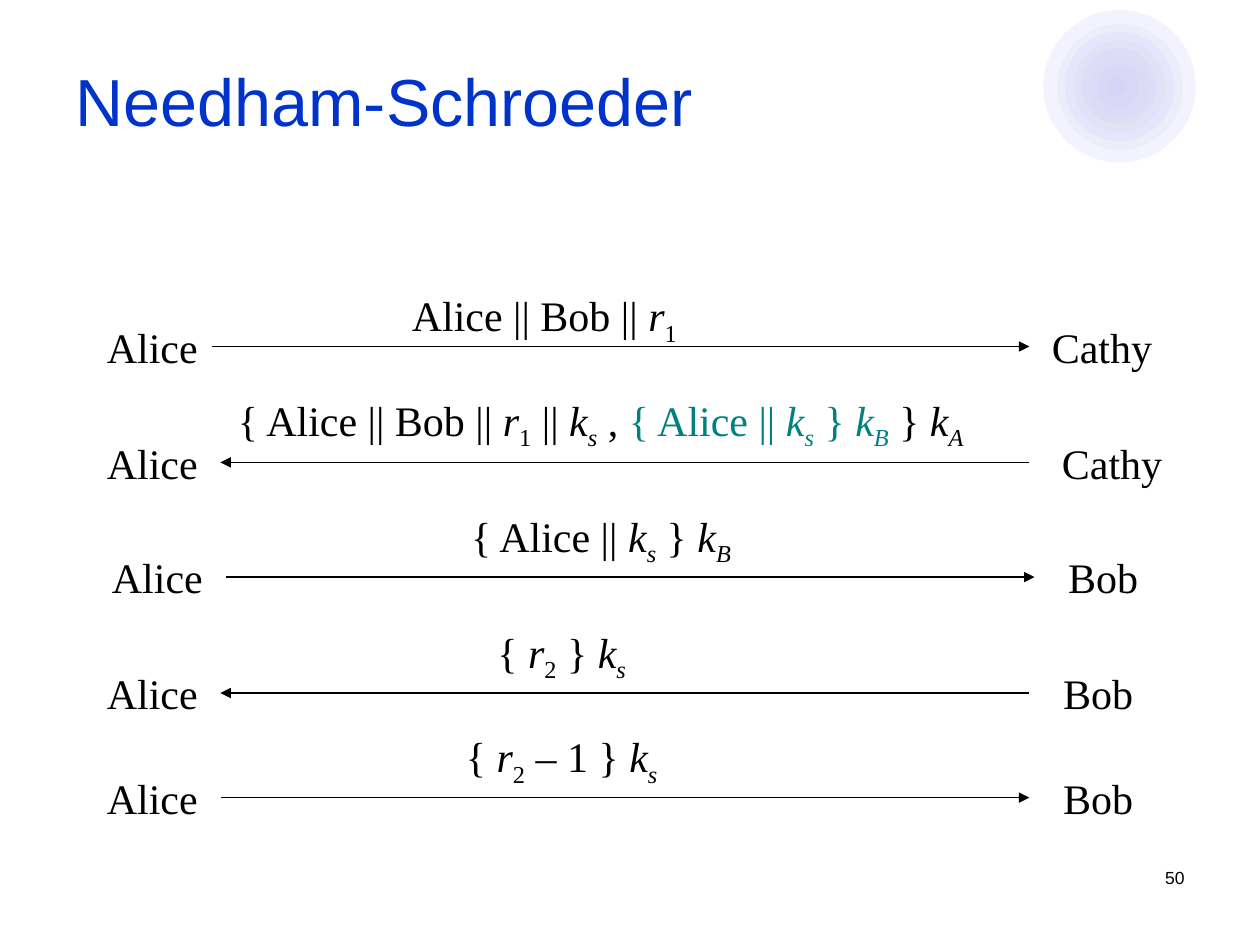
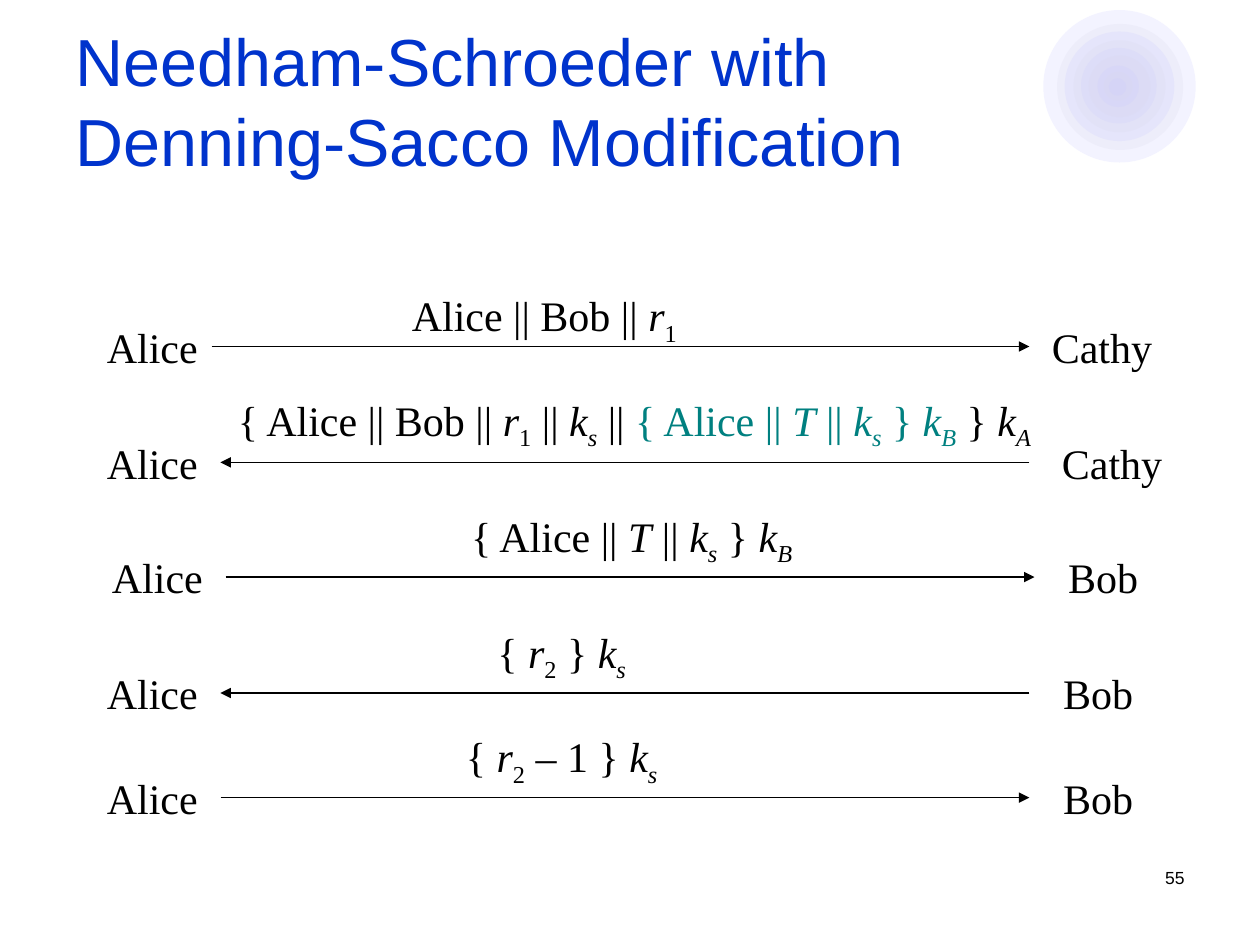
import pptx
import pptx.util
import pptx.dml.color
import pptx.enum.shapes
import pptx.enum.text
import pptx.oxml
import pptx.oxml.ns
from dataclasses import dataclass

Inches = pptx.util.Inches
RGB = pptx.dml.color.RGBColor.from_string
qn = pptx.oxml.ns.qn
PP_ALIGN = pptx.enum.text.PP_ALIGN
MSO_AUTO_SIZE = pptx.enum.text.MSO_AUTO_SIZE


@dataclass(frozen=True)
class Theme:
    title: str = "0033CC"
    ink: str = "000000"
    ticket: str = "008080"
    rings: tuple = ("CCCCFF", "D9D8EC")
    ring_alpha: int = 22000
    sans: str = "Arial"
    serif: str = "Times New Roman"
    title_pt: int = 38
    body_pt: int = 24
    number_pt: int = 10


T = Theme()


def write(sp, runs, font=T.serif, size=T.body_pt, color=T.ink, align=PP_ALIGN.LEFT,
          wrap=False, auto=MSO_AUTO_SIZE.SHAPE_TO_FIT_TEXT):
    tf = sp.text_frame
    tf.word_wrap = wrap
    tf.auto_size = auto
    p = tf.paragraphs[0]
    p.alignment = align
    for text, marks in runs:
        if text == "\n":
            p.add_line_break()
            continue
        r = p.add_run()
        r.text = text
        r.font.name = font
        r.font.size = pptx.util.Pt(size)
        r.font.italic = "i" in marks
        r.font.color.rgb = RGB(T.ticket if "t" in marks else color)
        if "_" in marks:
            r.font._element.set("baseline", "-25000")


R1 = [("r", "i"), ("1", "_")]
R2 = [("r", "i"), ("2", "_")]
KS = [("k", "i"), ("s", "i_")]
KA = [("k", "i"), ("A", "i_")]
KB = [("k", "i"), ("B", "i_")]
OPEN, CLOSE, OR = [("{ ", "")], [(" } ", "")], [(" || ", "")]
STAMP = [("T", "i")] + OR
PLAIN_TICKET = [("{ Alice || ", "")] + KS + CLOSE + KB
STAMPED_TICKET = [("{ Alice || ", "")] + STAMP + KS + CLOSE + KB

SLIDES = [
    ([("Needham-Schroeder", "")], PLAIN_TICKET, [(" , ", "")], "50"),
    ([("Needham-Schroeder with", ""), ("\n", ""), ("Denning-Sacco Modification", "")],
     STAMPED_TICKET, OR, "55"),
]
RINGS = [(8.28, 0.08, 1.21), (8.39, 0.19, 1), (8.45, 0.25, 0.87), (8.52, 0.32, 0.73),
         (8.58, 0.38, 0.6), (8.64, 0.44, 0.49), (8.71, 0.52, 0.33), (8.76, 0.57, 0.23),
         (8.8, 0.62, 0.14)]
NAME_W = {"Alice": 0.93, "Cathy": 1.01, "Bob": 0.77}

prs = pptx.Presentation()
prs.slide_width, prs.slide_height = Inches(10), Inches(7.5)
layout = prs.slide_layouts[5]
for style in prs.slide_master.element.xpath("./p:txStyles/p:titleStyle/a:lvl1pPr/a:defRPr"):
    style.set("sz", str(T.title_pt * 100))

for index, (title, ticket, joint, number) in enumerate(SLIDES):
    s = prs.slides.add_slide(layout)

    if index == 0:
        rings = s.shapes.add_group_shape()
        for i, (x, y, d) in enumerate(RINGS):
            sp = rings.shapes.add_shape(pptx.enum.shapes.MSO_SHAPE.OVAL,
                                        Inches(x), Inches(y), Inches(d), Inches(d))
            sp.shadow.inherit = False
            sp.line.fill.background()
            sp.fill.solid()
            sp.fill.fore_color.rgb = RGB(T.rings[i % 2])
            clr = sp.element.spPr.find(qn("a:solidFill"))[0]
            clr.append(pptx.oxml.parse_xml(
                f'<a:alpha {pptx.oxml.ns.nsdecls("a")} val="{T.ring_alpha}"/>'))
        for i, props in enumerate(rings.element.iter(qn("p:cNvPr"))):
            props.set("id", str(100 + i))
        layout.shapes.element.insert(2, rings.element)

    sp = s.shapes.title
    sp.left, sp.top, sp.width, sp.height = Inches(0.5), Inches(0.17), Inches(9), Inches(1.25)
    sp.text_frame.vertical_anchor = pptx.enum.text.MSO_ANCHOR.MIDDLE
    write(sp, title, font=T.sans, size=T.title_pt, color=T.title, wrap=True,
          auto=MSO_AUTO_SIZE.NONE)

    teal_ticket = [(text, marks + "t") for text, marks in ticket]
    session = [("{ Alice || Bob || ", "")] + R1 + OR + KS + joint + teal_ticket + CLOSE + KA
    messages = [
        (2.75, 0.75, 1.68, 8.17, 8.25, "Cathy", False, 3.17, 2.25, 2.33,
         [("Alice || Bob || ", "")] + R1),
        (3.67, 0.75, 1.75, 8.17, 8.33, "Cathy", True, 1.79, 3.08, 6.55 if index else 6.01, session),
        (4.58, 0.79, 1.79, 8.21, 8.38, "Bob", False, 3.64, 4, 2.78 if index else 2.3, ticket),
        (5.5, 0.75, 1.75, 8.17, 8.34, "Bob", True, 3.85, 4.92, 1.24, OPEN + R2 + CLOSE + KS),
        (6.33, 0.75, 1.75, 8.17, 8.34, "Bob", False, 3.6, 5.75, 1.74,
         OPEN + R2 + [(" – 1 } ", "")] + KS),
    ]
    for y, alice_x, x1, x2, peer_x, peer, reply, label_x, label_y, label_w, label in messages:
        alice = s.shapes.add_textbox(Inches(alice_x), Inches(y - 0.25),
                                     Inches(NAME_W["Alice"]), Inches(0.5))
        write(alice, [("Alice", "")])
        start, end = (x2, x1) if reply else (x1, x2)
        arrow = s.shapes.add_connector(pptx.enum.shapes.MSO_CONNECTOR.STRAIGHT,
                                       Inches(start), Inches(y), Inches(end), Inches(y))
        if x1 == round(alice_x + NAME_W["Alice"], 2):
            arrow.begin_connect(alice, 3)
        arrow.line.color.rgb = RGB(T.ink)
        arrow.line.width = pptx.util.Pt(0.75)
        arrow.line._get_or_add_ln().append(pptx.oxml.parse_xml(
            f'<a:tailEnd {pptx.oxml.ns.nsdecls("a")} type="triangle"/>'))
        arrow.element.spPr.append(pptx.oxml.parse_xml(
            f'<a:effectLst {pptx.oxml.ns.nsdecls("a")}/>'))
        sp = s.shapes.add_textbox(Inches(peer_x), Inches(y - 0.25),
                                  Inches(NAME_W[peer]), Inches(0.5))
        write(sp, [(peer, "")])
        sp = s.shapes.add_textbox(Inches(label_x), Inches(label_y), Inches(label_w), Inches(0.56))
        write(sp, label)

    sp = s.shapes.add_textbox(Inches(7.17), Inches(6.83), Inches(2.33), Inches(0.5))
    write(sp, [(number, "")], font=T.sans, size=T.number_pt, align=PP_ALIGN.RIGHT, wrap=True,
          auto=MSO_AUTO_SIZE.NONE)

prs.save("out.pptx")
